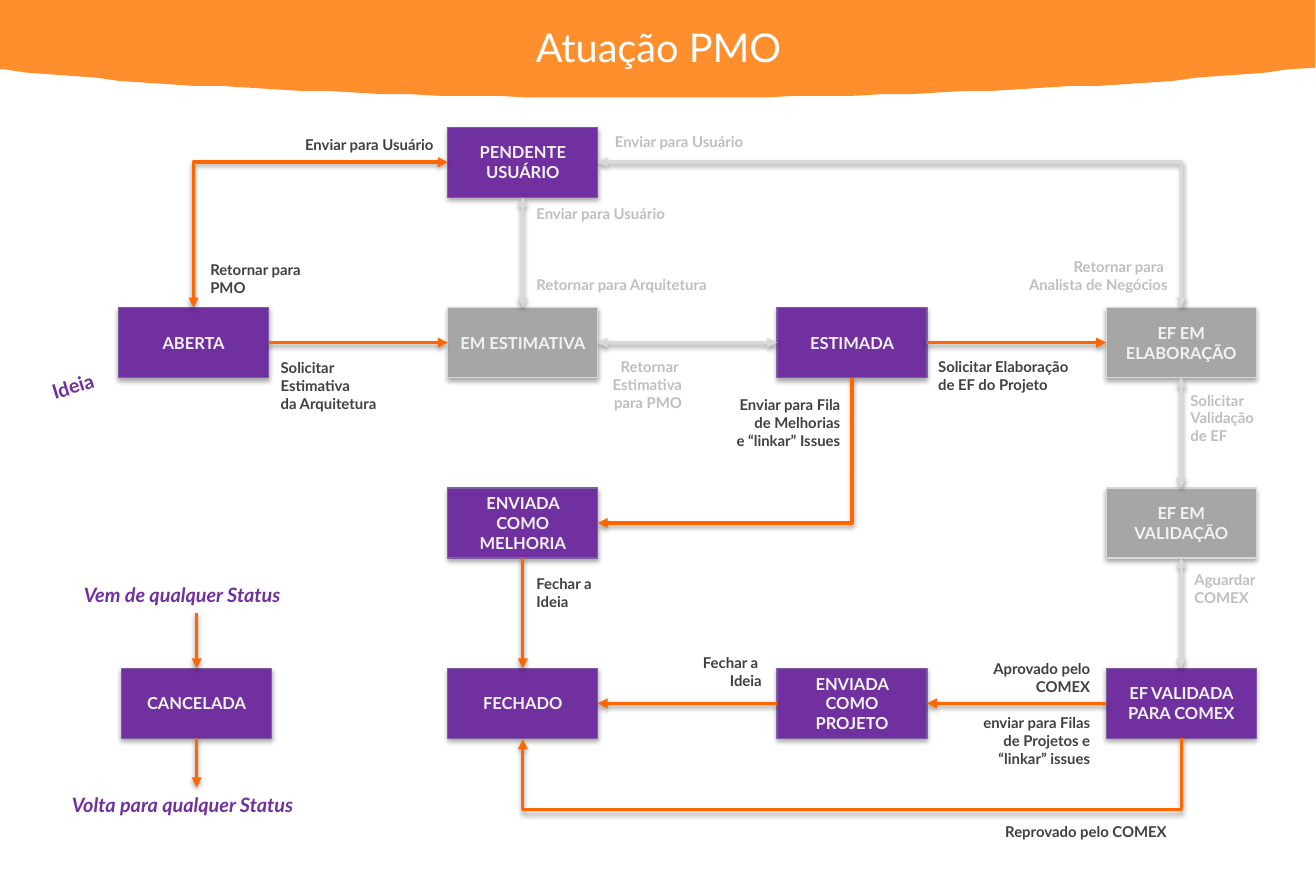
from pptx import Presentation
from pptx.dml.color import RGBColor
from pptx.enum.shapes import MSO_CONNECTOR, MSO_SHAPE
from pptx.enum.text import MSO_ANCHOR, PP_ALIGN
from pptx.oxml.ns import qn
from pptx.util import Pt
from lxml import etree

STRAIGHT, ELBOW = MSO_CONNECTOR.STRAIGHT, MSO_CONNECTOR.ELBOW
PROCESS = MSO_SHAPE.FLOWCHART_PROCESS
MIDDLE, UPPER = MSO_ANCHOR.MIDDLE, MSO_ANCHOR.TOP
LEFT, CENTER, RIGHT = PP_ALIGN.LEFT, PP_ALIGN.CENTER, PP_ALIGN.RIGHT
TOP, WEST, BASE, EAST = range(4)  # connection sites of a box

WIDE, HIGH = 796.3, 540
BOX_W, BOX_H = 90.7, 42.4
COL_X, COL_STEP = 71.8, 199.2
ROW_Y, ROW_STEP = 77, 109.2
COLORS = {
    "banner": "FF8E2D", "white": "FFFFFF", "purple": "7030A0",
    "rim": "7D60A0", "gray": "A6A6A6", "pale": "D9D9D9", "flow": "FF6600",
    "box text": "F2F2F2", "dark": "404040", "faint": "BFBFBF",
}
FORMATS = {
    "title": {"size": Pt(24), "bold": False},
    "box": {"size": Pt(10), "bold": True},
    "note": {"size": Pt(12), "bold": True, "italic": True},
    "tag": {"size": Pt(12), "bold": True},
    "label": {"size": Pt(9), "bold": True},
}


def shade(color):
    return RGBColor.from_string(COLORS[color])


def bezier(p, q, r, s, steps=24):
    """Points along a cubic curve, both ends included."""
    for i in range(steps + 1):
        t = i / steps
        u = 1 - t
        yield tuple(u**3 * a + 3 * u * u * t * b + 3 * u * t * t * c + t**3 * d
                    for a, b, c, d in zip(p, q, r, s))


class Chart:
    def __init__(self, slide):
        self.slide = slide
        self.shapes = slide.shapes
        self.boxes = {}

    def letter(self, shape, text, style, color, align=LEFT, anchor=UPPER):
        frame = shape.text_frame
        frame.word_wrap = True
        frame.vertical_anchor = anchor
        frame.text = text
        for para in frame.paragraphs:
            para.alignment = align
            for run in para.runs:
                run.font.name = "Lato"
                run.font.color.rgb = shade(color)
                for key, value in FORMATS[style].items():
                    setattr(run.font, key, value)

    def shadow(self, effects, dist, alpha):
        outer = etree.SubElement(effects, qn("a:outerShdw"), blurRad=str(Pt(3.1)),
                                 dist=str(Pt(dist)), dir="5400000", rotWithShape="0")
        black = etree.SubElement(outer, qn("a:srgbClr"), val="000000")
        etree.SubElement(black, qn("a:alpha"), val=str(alpha * 1000))

    def title(self, text, x, y, w, h):
        shape = self.shapes.title
        for key, value in {"left": x, "top": y, "width": w, "height": h}.items():
            setattr(shape, key, Pt(value))
        self.letter(shape, text, "title", "white", CENTER, MIDDLE)

    def banner(self, points):
        pen = self.shapes.build_freeform(0, 0, scale=Pt(1))
        pen.add_line_segments(points, close=True)
        shape = pen.convert_to_shape()
        shape.shadow.inherit = False
        shape.fill.solid()
        shape.fill.fore_color.rgb = shade("banner")
        shape.line.fill.background()
        self.shapes.title._element.addprevious(shape._element)

    def box(self, text, x, y, fill="purple", rim="rim"):
        shape = self.shapes.add_shape(PROCESS, Pt(x), Pt(y), Pt(BOX_W), Pt(BOX_H))
        shape.shadow.inherit = False
        self.shadow(shape._element.spPr.find(qn("a:effectLst")), 1.8, 35)
        shape.fill.solid()
        shape.fill.fore_color.rgb = shade(fill)
        shape.line.color.rgb = shade(rim)
        shape.line.width = Pt(0.75)
        self.letter(shape, text, "box", "box text", CENTER, MIDDLE)
        self.boxes[text] = shape

    def line(self, start, end, color="flow", ends=("tail",), kind=STRAIGHT):
        wire = self.shapes.add_connector(kind, *(Pt(v) for v in start + end))
        wire.line.color.rgb = shade(color)
        wire.line.width = Pt(2)
        props = wire._element.spPr
        for tip in ends:
            etree.SubElement(props.find(qn("a:ln")), qn(f"a:{tip}End"), type="triangle")
        self.shadow(etree.SubElement(props, qn("a:effectLst")), 1.6, 38)
        return wire

    def link(self, start, end, color="flow", ends=("tail",), kind=STRAIGHT):
        wire = self.line((0, 0), (1, 1), color, ends, kind)
        wire.begin_connect(self.boxes[start[0]], start[1])
        wire.end_connect(self.boxes[end[0]], end[1])
        return wire

    def corner(self, start, end, color="flow", ends=("head",)):
        """Runs level from start, then turns once towards end."""
        wire = self.link(start, end, color, ends, ELBOW)
        wire._element.spPr.find(qn("a:prstGeom")).set("prst", "bentConnector2")

    def loop(self, start, end, drop):
        """Runs below both boxes, from the right one back to the left one."""
        wire = self.link(start, end, kind=ELBOW)
        right, left, y = wire.begin_x, wire.end_x, wire.begin_y
        thin, span = Pt(1), right - left
        props = wire._element.spPr
        frame = props.find(qn("a:xfrm"))
        frame.attrib.clear()
        frame.set("rot", "5400000")
        wire.left, wire.top = (left + right - thin) // 2, y - span // 2
        wire.width, wire.height = thin, span
        guides = props.find(qn("a:prstGeom")).find(qn("a:avLst"))
        etree.SubElement(guides, qn("a:gd"), name="adj1", fmla=f"val {drop * 100000}")

    def label(self, text, x, y, w, color="dark", align=LEFT, style="label", h=25.2, turn=0):
        shape = self.shapes.add_textbox(Pt(x), Pt(y), Pt(w), Pt(h))
        shape.rotation = turn
        self.letter(shape, text, style, color, align)


def main():
    deck = Presentation()
    deck.slide_width, deck.slide_height = Pt(WIDE), Pt(HIGH)
    chart = Chart(deck.slides.add_slide(deck.slide_layouts[5]))

    # Banner and title
    low = (391, 59)
    chart.banner([(WIDE, 0), (WIDE, 41),
                  *bezier((779, 42.5), (674, 53.3), (538.6, 59), low),
                  *bezier(low, (243.4, 59), (108, 53.3), (2.9, 42.5)), (0, 42.5)])
    chart.title("Atuação PMO", 183.6, 10, 429.8, 36)

    # Status boxes: text, column, row
    for text, col, row in [
        ("ABERTA", 0, 1), ("ESTIMADA", 2, 1), ("FECHADO", 1, 3),
        ("EF VALIDADA PARA COMEX", 3, 3), ("ENVIADA COMO PROJETO", 2, 3),
        ("PENDENTE USUÁRIO", 1, 0), ("ENVIADA COMO MELHORIA", 1, 2),
    ]:
        chart.box(text, COL_X + col * COL_STEP, ROW_Y + row * ROW_STEP)
    for text, col, row in [("EM ESTIMATIVA", 1, 1), ("EF EM ELABORAÇÃO", 3, 1),
                           ("EF EM VALIDAÇÃO", 3, 2)]:
        chart.box(text, COL_X + col * COL_STEP, ROW_Y + row * ROW_STEP, "gray", "pale")
    chart.box("CANCELADA", 73.6, ROW_Y + 3 * ROW_STEP)

    # Arrows of the PMO
    for start, out, end, into in [
        ("ABERTA", EAST, "EM ESTIMATIVA", WEST),
        ("ESTIMADA", EAST, "EF EM ELABORAÇÃO", WEST),
        ("ENVIADA COMO MELHORIA", BASE, "FECHADO", TOP),
        ("EF VALIDADA PARA COMEX", WEST, "ENVIADA COMO PROJETO", EAST),
        ("ENVIADA COMO PROJETO", WEST, "FECHADO", EAST),
    ]:
        chart.link((start, out), (end, into))
    both = ("head", "tail")
    chart.corner(("PENDENTE USUÁRIO", WEST), ("ABERTA", TOP), ends=both)
    chart.corner(("ENVIADA COMO MELHORIA", EAST), ("ESTIMADA", BASE))
    chart.loop(("EF VALIDADA PARA COMEX", BASE), ("FECHADO", BASE), 44)
    for top, end in [(370.8, 404.6), (447, 476.6)]:
        chart.line((119, top), (119, end))

    # Arrows of other teams
    for start, out, end, into in [
        ("EM ESTIMATIVA", TOP, "PENDENTE USUÁRIO", BASE),
        ("EM ESTIMATIVA", EAST, "ESTIMADA", WEST),
        ("EF EM ELABORAÇÃO", BASE, "EF EM VALIDAÇÃO", TOP),
        ("EF EM VALIDAÇÃO", BASE, "EF VALIDADA PARA COMEX", TOP),
    ]:
        chart.link((start, out), (end, into), "pale", both)
    chart.corner(("PENDENTE USUÁRIO", EAST), ("EF EM ELABORAÇÃO", TOP), "pale", both)

    # Notes
    chart.label("Ideia", 23.8, 221, 53.3, "purple", style="tag", h=21.6, turn=342.8)
    chart.label("Vem de qualquer Status", 43.6, 349.2, 156, "purple", style="note")
    chart.label("Volta para qualquer Status", 36.4, 476.4, 170, "purple", style="note")

    # Arrow labels: text, left, top, width, colour, alignment
    for item in [
        ("Solicitar\nEstimativa\nda Arquitetura", 162.7, 213.8, 82, "dark", LEFT),
        ("Retornar \nEstimativa\npara PMO", 361.4, 213.1, 58.3, "faint", RIGHT),
        ("Solicitar Elaboração\nde EF do Projeto", 560.6, 213.1, 102, "dark", LEFT),
        ("Solicitar Validação\nde EF", 713.2, 233.3, 63.4, "faint", LEFT),
        ("Aguardar COMEX", 715.7, 342, 63.4, "faint", LEFT),
        ("Aprovado pelo COMEX", 578.9, 396, 87.8, "dark", RIGHT),
        ("enviar para Filas de Projetos e “linkar” issues", 578.9, 428.4, 87.8, "dark", RIGHT),
        ("Reprovado pelo COMEX", 601.2, 494.6, 151.2, "dark", LEFT),
        ("Enviar para Fila de Melhorias\ne “linkar” Issues", 438.5, 236.2, 77, "dark", RIGHT),
        ("Fechar a\nIdeia", 317.5, 344.2, 102.2, "dark", LEFT),
        ("Fechar a \nIdeia", 365.8, 392.4, 102.2, "dark", RIGHT),
        ("Enviar para Usuário", 317.5, 120.2, 172, "faint", LEFT),
        ("Retornar para Arquitetura", 317.5, 163.4, 172, "faint", LEFT),
        ("Enviar para Usuário", 365, 77, 150, "faint", LEFT),
        ("Retornar para \nAnalista de Negócios", 563.5, 152.6, 150, "faint", RIGHT),
        ("Enviar para Usuário", 119.3, 78.5, 150, "dark", RIGHT),
        ("Retornar para\nPMO", 120.2, 154.1, 150, "dark", LEFT),
    ]:
        chart.label(*item)

    deck.save("out.pptx")


if __name__ == "__main__":
    main()
